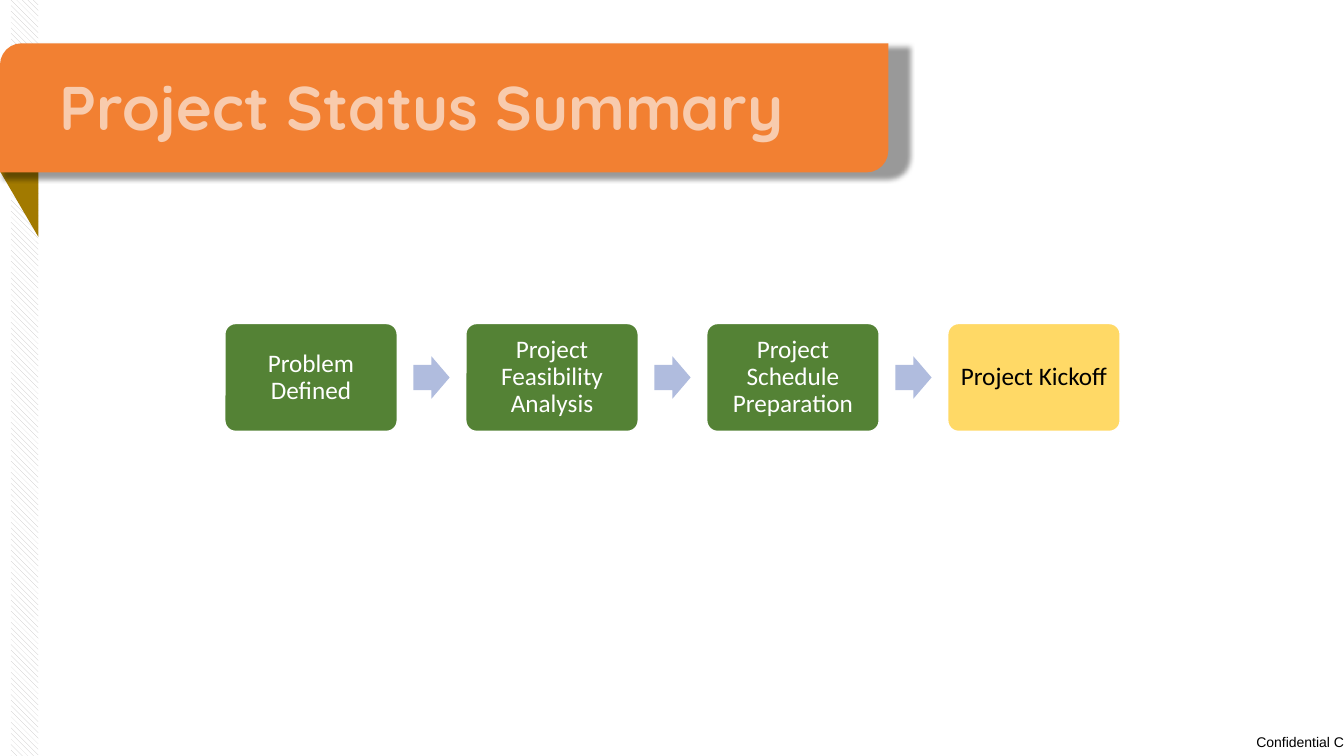
from lxml.etree import SubElement
from pptx import Presentation
from pptx.dml.color import RGBColor
from pptx.enum.dml import MSO_PATTERN
from pptx.enum.shapes import MSO_SHAPE
from pptx.enum.text import MSO_ANCHOR, MSO_AUTO_SIZE, PP_ALIGN
from pptx.oxml.ns import qn
from pptx.util import Inches, Pt

COLORS = {
    "white": "FFFFFF", "black": "000000", "hatch": "C5C3C3",
    "fold": "A27A00", "banner": "F28032", "title": "F8CBAD",
    "done": "548235", "next": "FFD966", "arrow": "B0BCDE",
}
STEPS = [
    ("Problem Defined", "done", "white"),
    ("Project Feasibility Analysis", "done", "white"),
    ("Project Schedule Preparation", "done", "white"),
    ("Project Kickoff", "next", "black"),
]


def color(name):
    return RGBColor.from_string(COLORS[name])


def paint(shape, fill):
    shape.shadow.inherit = False
    shape.fill.solid()
    shape.fill.fore_color.rgb = color(fill)
    shape.line.fill.background()


def add_form(slide, kind, box, fill):
    shape = slide.shapes.add_shape(kind, *map(Inches, box))
    paint(shape, fill)
    return shape


def write(shape, text, font, size, tint, align, anchor, inset=0, bold=False):
    frame = shape.text_frame
    frame.text = text
    frame.word_wrap = True
    frame.auto_size = MSO_AUTO_SIZE.NONE
    frame.vertical_anchor = anchor
    frame.margin_left = frame.margin_right = Inches(inset)
    frame.margin_top = frame.margin_bottom = Inches(inset)
    para = frame.paragraphs[0]
    para.alignment = align
    style = para.runs[0].font
    style.name, style.size, style.bold = font, Pt(size), bold
    style.color.rgb = color(tint)
    return para


def add_shade(shape):
    effects = shape.element.spPr.find(qn("a:effectLst"))
    shade = SubElement(effects, qn("a:outerShdw"), blurRad=str(Pt(4)),
                       dist=str(Pt(3)), dir="2700000", sx="102000",
                       sy="102000", algn="tl", rotWithShape="0")
    tint = SubElement(shade, qn("a:srgbClr"), val=COLORS["black"])
    SubElement(tint, qn("a:alpha"), val="40000")


def add_label(slide, box):
    label = slide.shapes.add_textbox(*map(Inches, box))
    write(label, "Confidential C", "Arial", 10, "black",
          PP_ALIGN.RIGHT, MSO_ANCHOR.MIDDLE)


def add_strip(slide, box):
    strip = add_form(slide, MSO_SHAPE.RECTANGLE, box, "white")
    strip.fill.patterned()
    strip.fill.pattern = MSO_PATTERN.WIDE_DOWNWARD_DIAGONAL
    strip.fill.fore_color.rgb = color("hatch")
    strip.fill.back_color.rgb = color("white")


def add_banner(slide, box):
    left, top, width, height = box
    base = top + height
    edge = left + 0.38
    pen = slide.shapes.build_freeform(Inches(edge), Inches(base - 0.03))
    corners = [(edge, base + 0.64), (left, base - 0.01)]
    pen.add_line_segments([(Inches(x), Inches(y)) for x, y in corners])
    paint(pen.convert_to_shape(), "fold")

    add_shade(add_form(slide, MSO_SHAPE.ROUND_2_DIAG_RECTANGLE, box, "banner"))
    title = slide.shapes.title
    slide.shapes.element.append(title.element)
    title.left, title.top = Inches(left + 0.59), Inches(top + 0.25)
    title.width, title.height = Inches(7.88), Inches(0.79)
    para = write(title, "Project Status Summary", "Quicksand", 44, "title",
                 PP_ALIGN.LEFT, MSO_ANCHOR.TOP, bold=True)
    para.line_spacing = 1.0
    para.space_before = Pt(0)


def add_flow(slide, box):
    left, top, width, height = box
    wide = 1.71
    pitch = (width - wide) / (len(STEPS) - 1)
    for i, (text, fill, tint) in enumerate(STEPS):
        x = left + i * pitch
        if i:
            place = (x - 0.52, top + (height - 0.42) / 2, 0.36, 0.42)
            arrow = add_form(slide, MSO_SHAPE.RIGHT_ARROW, place, "arrow")
            arrow.adjustments[0] = 0.6
        step = add_form(slide, MSO_SHAPE.ROUNDED_RECTANGLE,
                        (x, top, wide, height), fill)
        step.adjustments[0] = 0.1
        step.line.color.rgb = color("white")
        step.line.width = Pt(1)
        para = write(step, text, "Calibri", 18, tint,
                     PP_ALIGN.CENTER, MSO_ANCHOR.MIDDLE, 0.07)
        para.line_spacing = 0.9


deck = Presentation()
deck.slide_width, deck.slide_height = Inches(13.33), Inches(7.5)
slide = deck.slides.add_slide(deck.slide_layouts[5])
add_label(slide, (12.15, 7.23, 1.18, 0.27))
add_strip(slide, (0.11, 0, 0.27, 7.5))
add_banner(slide, (0, 0.43, 8.81, 1.28))
add_flow(slide, (2.23, 3.21, 8.88, 1.07))
deck.save("out.pptx")
